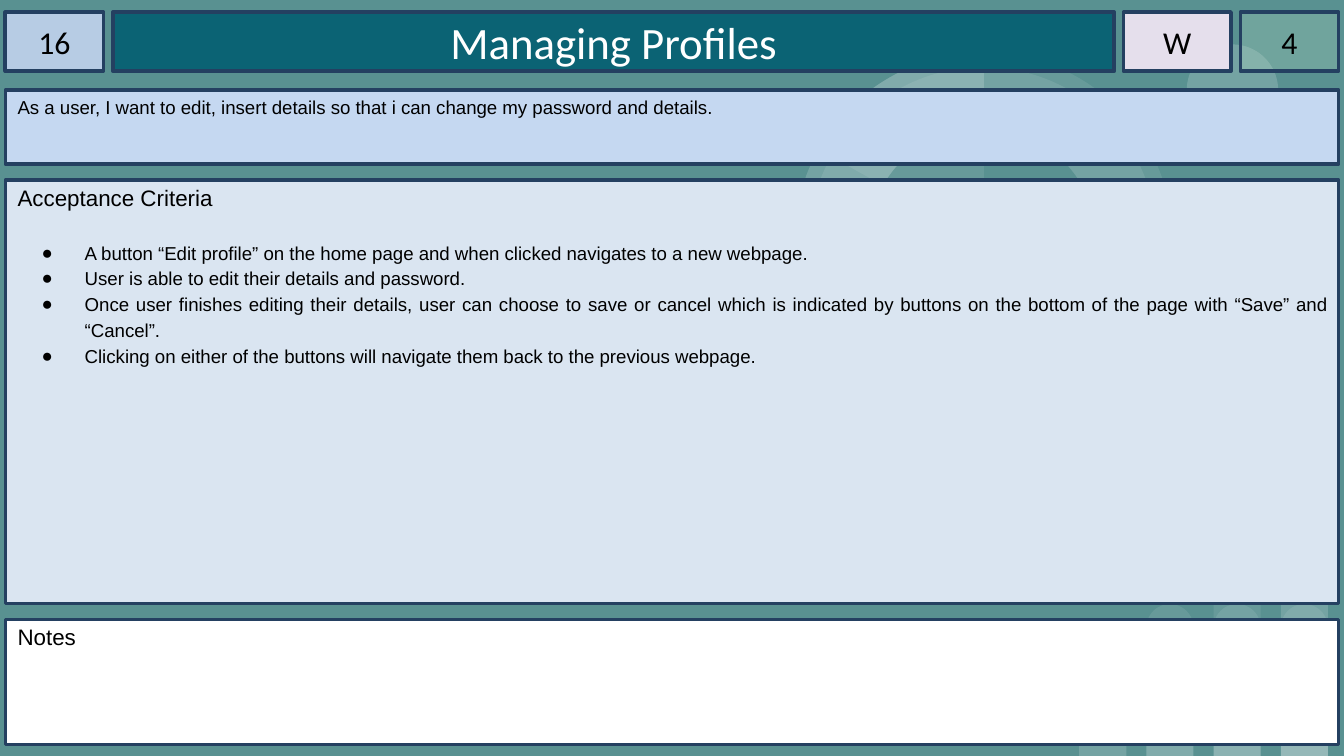
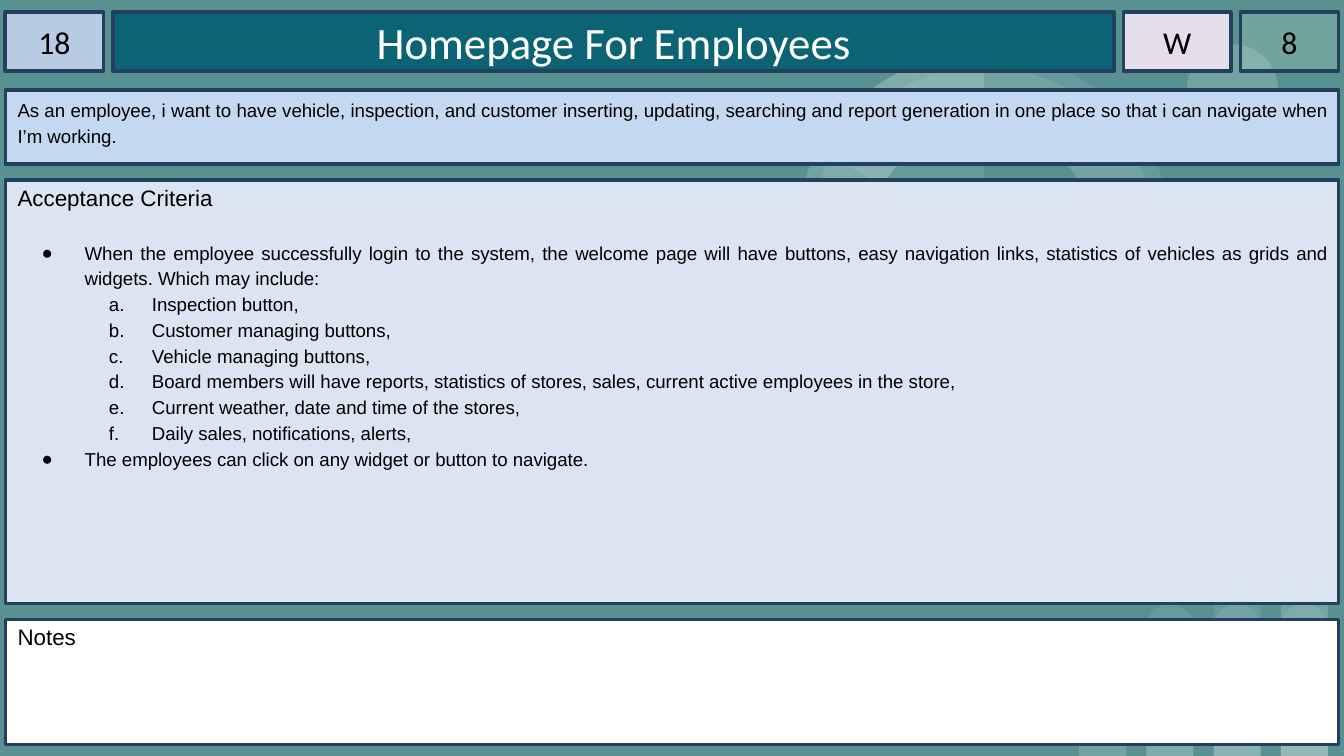
from dataclasses import dataclass
from typing import NamedTuple, Optional

from lxml.etree import SubElement
from pptx import Presentation
from pptx.dml.color import RGBColor
from pptx.enum.shapes import MSO_SHAPE
from pptx.enum.text import MSO_ANCHOR, PP_ALIGN
from pptx.oxml.ns import qn
from pptx.util import Inches, Pt

COLORS = {
    "background": "599191",
    "border": "244061",
    "number": "B7CCE4",
    "title": "0B6374",
    "story": "C5D8F1",
    "criteria": "DAE5F1",
    "points": "CCF0CD",
    "priority": "E5DFEC",
    "white": "FFFFFF",
    "black": "000000",
}
SLIDE_WIDTH = 10
SLIDE_HEIGHT = SLIDE_WIDTH * 9 / 16
MARGIN = 0.04
PANEL_WIDTH = SLIDE_WIDTH - 2 * MARGIN
HEADER_TOP, HEADER_HEIGHT = 0.09, 0.44
INDENT_STEP, HANGING = 0.5, 0.32


class Box(NamedTuple):
    left: float
    top: float
    width: float
    height: float


class Ornament(NamedTuple):
    kind: MSO_SHAPE
    box: Box
    rotation: float = 0
    adjustments: tuple[float, ...] = ()
    color: str = "white"
    opacity: Optional[int] = 9


@dataclass(frozen=True)
class Panel:
    box: Box
    color: str
    size: int
    font: str = "Arial"
    text_color: str = "black"
    side_inset: float = 0.09
    top_inset: float = 0.04
    centred: bool = False
    opacity: Optional[int] = None


class Criterion(NamedTuple):
    text: str
    level: int = 0


@dataclass(frozen=True)
class StoryCard:
    number: str
    title: str
    story: str
    priority: str
    points: str
    criteria: list[Criterion]
    justified_story: bool = False


# Panels found on every card
def header_panel(left: float, width: float, color: str, size: int = 17, **style) -> Panel:
    box = Box(left, HEADER_TOP, width, HEADER_HEIGHT)
    return Panel(box, color, size, font="Calibri", centred=True, **style)


def body_panel(top: float, height: float, color: str, size: int, **style) -> Panel:
    return Panel(Box(MARGIN, top, PANEL_WIDTH, height), color, size, **style)


NUMBER = header_panel(MARGIN, 0.73, "number", side_inset=0)
TITLE = header_panel(0.84, 7.45, "title", size=24, text_color="white")
PRIORITY = header_panel(8.36, 0.8, "priority", side_inset=0)
POINTS = header_panel(9.23, 0.73, "points", side_inset=0, opacity=20)
STORY = body_panel(0.67, 0.55, "story", 10)
CRITERIA = body_panel(1.34, 3.15, "criteria", 12, top_inset=0.03)
NOTES = body_panel(4.61, 0.93, "white", 12, top_inset=0.03)

# Background decoration: rising bars, a small pie and a large ring
BAR_HEIGHTS = [0.37 + 0.38 * step for step in range(5)]
BARS = [
    Ornament(
        MSO_SHAPE.ROUND_2_SAME_RECTANGLE,
        Box(8.03 + 0.5 * column, SLIDE_HEIGHT - height, 0.35, height),
        adjustments=(0.5, 0),
    )
    for column in range(4)
    for height in BAR_HEIGHTS[: column + 2]
]
SMALL_PIE = Box(8.83, 0.33, 0.68, 0.68)
RING = Box(5.91, 0.39, 2.82, 2.82)
CIRCLES = [
    Ornament(MSO_SHAPE.OVAL, SMALL_PIE, 215.9),
    Ornament(MSO_SHAPE.PIE, SMALL_PIE, 215.9, (193.77, 123.14)),
    Ornament(MSO_SHAPE.OVAL, RING),
    Ornament(MSO_SHAPE.OVAL, Box(6.02, 0.5, 2.59, 2.59), 34.1),
    Ornament(MSO_SHAPE.PIE, RING, adjustments=(88.01, 162)),
    Ornament(MSO_SHAPE.OVAL, Box(6.46, 0.95, 1.7, 1.7), 34.1, color="background", opacity=None),
    Ornament(MSO_SHAPE.PIE, RING, adjustments=(125.54, 162)),
]

CARDS = [
    StoryCard(
        "16",
        "Managing Profiles",
        "As a user, I want to edit, insert details so that i can change my password and details.",
        "W",
        "4",
        [
            Criterion("A button “Edit profile” on the home page and when clicked navigates to a new webpage."),
            Criterion("User is able to edit their details and password."),
            Criterion(
                "Once user finishes editing their details, user can choose to save or cancel which is "
                "indicated by buttons on the bottom of the page with “Save” and “Cancel”."
            ),
            Criterion("Clicking on either of the buttons will navigate them back to the previous webpage."),
        ],
    ),
    StoryCard(
        "18",
        "Homepage For Employees",
        "As an employee, i want to have vehicle, inspection, and customer inserting, updating, searching "
        "and report generation in one place so that i can navigate when I’m working.",
        "W",
        "8",
        [
            Criterion(
                "When the employee successfully login to the system, the welcome page will have buttons, "
                "easy navigation links, statistics of vehicles as grids and widgets. Which may include:"
            ),
            Criterion("Inspection button,", 1),
            Criterion("Customer managing buttons,", 1),
            Criterion("Vehicle managing buttons,", 1),
            Criterion(
                "Board members will have reports, statistics of stores, sales, "
                "current active employees in the store,",
                1,
            ),
            Criterion("Current weather, date and time of the stores,", 1),
            Criterion("Daily sales, notifications, alerts,", 1),
            Criterion("The employees can click on any widget or button to navigate."),
        ],
        justified_story=True,
    ),
]


def rgb(color: str) -> RGBColor:
    return RGBColor.from_string(COLORS[color])


def add_filled_shape(slide, kind: MSO_SHAPE, box: Box, color: str, opacity: Optional[int]):
    shape = slide.shapes.add_shape(kind, *(Inches(length) for length in box))
    shape.shadow.inherit = False
    shape.fill.solid()
    shape.fill.fore_color.rgb = rgb(color)
    if opacity is not None:
        tint = shape.fill._xPr.find(".//" + qn("a:srgbClr"))
        SubElement(tint, qn("a:alpha"), val=str(opacity * 1000))
    return shape


def add_ornament(slide, ornament: Ornament):
    shape = add_filled_shape(slide, ornament.kind, ornament.box, ornament.color, ornament.opacity)
    shape.line.fill.background()
    shape.rotation = ornament.rotation
    for index, value in enumerate(ornament.adjustments):
        shape.adjustments[index] = value
    return shape


def add_text(paragraph, text: str, panel: Panel, size: int) -> None:
    run = paragraph.add_run()
    run.text = text
    run.font.name = panel.font
    run.font.size = Pt(size)
    run.font.color.rgb = rgb(panel.text_color)


def justify(paragraph) -> None:
    paragraph.alignment = PP_ALIGN.JUSTIFY
    paragraph.line_spacing = 1.15


def add_panel(slide, panel: Panel, text: str):
    shape = add_filled_shape(slide, MSO_SHAPE.RECTANGLE, panel.box, panel.color, panel.opacity)
    shape.line.color.rgb = rgb("border")
    shape.line.width = Pt(2)
    frame = shape.text_frame
    frame.word_wrap = True
    frame.margin_left = frame.margin_right = Inches(panel.side_inset)
    frame.margin_top = Inches(panel.top_inset)
    frame.margin_bottom = Inches(0.04)
    frame.vertical_anchor = MSO_ANCHOR.MIDDLE if panel.centred else MSO_ANCHOR.TOP
    paragraph = frame.paragraphs[0]
    paragraph.alignment = PP_ALIGN.CENTER if panel.centred else PP_ALIGN.LEFT
    add_text(paragraph, text, panel, panel.size)
    return frame


def add_criterion(frame, criterion: Criterion):
    paragraph = frame.add_paragraph()
    paragraph.level = criterion.level
    justify(paragraph)
    properties = paragraph._p.get_or_add_pPr()
    properties.set("marL", str(Inches(INDENT_STEP * (criterion.level + 1))))
    properties.set("indent", str(-Inches(HANGING)))
    bullet_color = SubElement(properties, qn("a:buClr"))
    SubElement(bullet_color, qn("a:srgbClr"), val=COLORS["black"])
    SubElement(properties, qn("a:buFont"), typeface="Arial")
    if criterion.level:
        SubElement(properties, qn("a:buAutoNum"), type="alphaLcPeriod")
    else:
        SubElement(properties, qn("a:buChar"), char="●")
    add_text(paragraph, criterion.text, CRITERIA, 10)
    return paragraph


def decorate_layout(layout, slide) -> None:
    """Draw the decoration once and move it to the shared layout."""
    layout.background.fill.solid()
    layout.background.fill.fore_color.rgb = rgb("background")
    for ornament in BARS + CIRCLES:
        layout.shapes._spTree.append(add_ornament(slide, ornament)._element)


def add_card(slide, card: StoryCard) -> None:
    # Header and story
    add_panel(slide, NUMBER, card.number)
    add_panel(slide, TITLE, card.title)
    story = add_panel(slide, STORY, card.story)
    if card.justified_story:
        justify(story.paragraphs[0])

    # Acceptance criteria
    criteria = add_panel(slide, CRITERIA, "Acceptance Criteria")
    bullets = [add_criterion(criteria, criterion) for criterion in card.criteria]
    bullets[0].space_before = Pt(14.5)

    # Estimate, priority and notes
    add_panel(slide, POINTS, card.points)
    add_panel(slide, PRIORITY, card.priority)
    add_panel(slide, NOTES, "Notes")


def main() -> None:
    deck = Presentation()
    deck.slide_width, deck.slide_height = Inches(SLIDE_WIDTH), Inches(SLIDE_HEIGHT)
    blank = deck.slide_layouts[6]
    slides = [deck.slides.add_slide(blank) for _ in CARDS]
    decorate_layout(blank, slides[0])
    for slide, card in zip(slides, CARDS):
        add_card(slide, card)
    deck.save("out.pptx")


if __name__ == "__main__":
    main()
